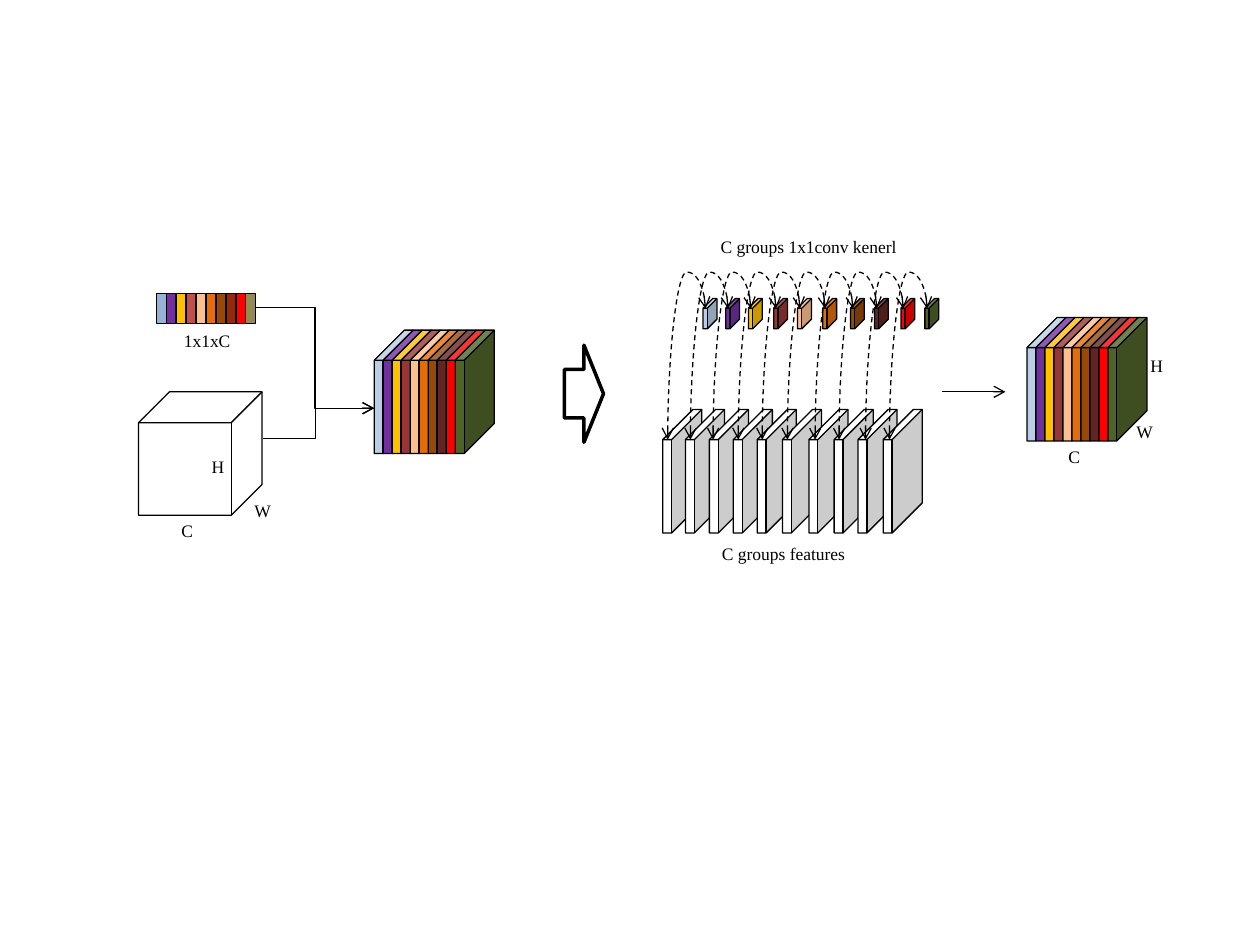
from lxml.etree import SubElement
from pptx import Presentation
from pptx.dml.color import RGBColor
from pptx.enum.dml import MSO_LINE
from pptx.enum.shapes import MSO_CONNECTOR as Connector, MSO_SHAPE as Shape
from pptx.enum.text import MSO_AUTO_SIZE as AutoSize
from pptx.oxml.ns import qn
from pptx.util import Inches, Pt

BLACK = RGBColor(0, 0, 0)
WHITE = RGBColor(255, 255, 255)
FONT = "Times New Roman"

WEIGHT_COLOURS = [RGBColor.from_string(c) for c in (
    "95B3D7", "7030A0", "FFC000", "C0504D", "FAC090",
    "E46C0A", "984807", "96280A", "FF0000", "948A54")]
CHANNEL_COLOURS = [RGBColor.from_string(c) for c in (
    "B9CDE5", "7030A0", "FFC000", "953735", "FAC090",
    "E46C0A", "984807", "632523", "FF0000", "4F6228")]

FEATURE_LEFTS = [5.26, 5.44, 5.63, 5.82, 6.01, 6.21, 6.42, 6.62, 6.81, 7.01]
KERNEL_LEFTS = [5.58, 5.76, 5.94, 6.14, 6.33, 6.53, 6.75, 6.94, 7.15, 7.34]
STACKS = [(2.97, 2.62), (8.15, 2.52)]
LABELS = [
    ("1x1xC", 1.46, 2.62, 0.37),
    ("H", 1.68, 3.62, 0.1),
    ("C", 1.44, 4.13, 0.09),
    ("W", 2.02, 3.97, 0.13),
    ("C groups features", 5.73, 4.31, 0.99),
    ("C groups 1x1conv kenerl", 5.72, 1.87, 1.42),
    ("H", 9.13, 2.82, 0.1),
    ("W", 9.02, 3.34, 0.13),
    ("C", 8.48, 3.54, 0.09),
]
MERGES = [((2.03, 2.44), 0.5), ((2.09, 3.48), 0.47)]
MERGE_END = (2.97, 3.24)

WEIGHT_WIDTH = 0.079
CHANNEL_STEP = 0.0715
SLAB = {"width": 0.31, "height": 0.98, "depth": 0.772}
KERNEL = {"width": 0.11, "height": 0.24, "depth": 0.692}
ARC_WIDTH, ARC_TOP, ARC_BOTTOM = 0.3, 2.45, 3.49


def add_outlined(shapes, kind, left, top, width, height, fill=None, depth=None, weight=0.75):
    shape = shapes.add_shape(kind, Inches(left), Inches(top), Inches(width), Inches(height))
    shape.shadow.inherit = False
    if fill is None:
        shape.fill.background()
    else:
        shape.fill.solid()
        shape.fill.fore_color.rgb = fill
    if depth is not None:
        shape.adjustments[0] = depth
    shape.line.color.rgb = BLACK
    shape.line.width = Pt(weight)
    return shape


def add_text(shapes, text, left, top, width, height=0.17, size=10, color=BLACK):
    box = shapes.add_textbox(Inches(left), Inches(top), Inches(width), Inches(height))
    frame = box.text_frame
    frame.margin_left = frame.margin_top = frame.margin_right = frame.margin_bottom = 0
    frame.word_wrap = False
    frame.auto_size = AutoSize.SHAPE_TO_FIT_TEXT
    run = frame.paragraphs[0].add_run()
    run.text = text
    run.font.name = FONT
    run.font.size = Pt(size)
    run.font.color.rgb = color


def add_arrow(shapes, kind, start, end, bend=None, ends=("tailEnd",), dashed=False):
    arrow = shapes.add_connector(kind, *(Inches(v) for v in (*start, *end)))
    arrow.line.color.rgb = BLACK
    arrow.line.width = Pt(0.75)
    if dashed:
        arrow.line.dash_style = MSO_LINE.DASH
    properties = arrow.element.spPr
    outline = properties.find(qn("a:ln"))
    for end_name in ends:
        SubElement(outline, qn(f"a:{end_name}"), type="arrow")
    SubElement(properties, qn("a:effectLst"))
    if bend is not None:
        guides = properties.find(qn("a:prstGeom")).get_or_add_avLst()
        SubElement(guides, qn("a:gd"), name="adj1", fmla=f"val {round(bend * 100000)}")
    return arrow


def add_arc(shapes, start_x):
    length = ARC_BOTTOM - ARC_TOP
    middle_x, middle_y = start_x - ARC_WIDTH / 2, (ARC_TOP + ARC_BOTTOM) / 2
    arc = add_arrow(
        shapes, Connector.CURVE,
        (middle_x + length / 2, middle_y + ARC_WIDTH / 2),
        (middle_x - length / 2, middle_y - ARC_WIDTH / 2),
        bend=-0.28, ends=("headEnd", "tailEnd"), dashed=True)
    arc.element.spPr.find(qn("a:xfrm")).set("rot", str(270 * 60000))


def add_stack(shapes, left, top):
    stack = shapes.add_group_shape()
    for i, colour in enumerate(CHANNEL_COLOURS):
        add_outlined(stack.shapes, Shape.CUBE, left + i * CHANNEL_STEP, top, fill=colour, **SLAB)


def main():
    deck = Presentation()
    deck.slide_width, deck.slide_height = Inches(10), Inches(7.5)
    shapes = deck.slides.add_slide(deck.slide_layouts[6]).shapes

    for i, colour in enumerate(WEIGHT_COLOURS):
        add_outlined(shapes, Shape.RECTANGLE, 1.24 + i * WEIGHT_WIDTH, 2.33,
                     WEIGHT_WIDTH, 0.24, fill=colour)
    add_outlined(shapes, Shape.CUBE, 1.1, 3.11, 0.98, 0.98)
    for left, top in STACKS:
        add_stack(shapes, left, top)
    for start, bend in MERGES:
        add_arrow(shapes, Connector.ELBOW, start, MERGE_END, bend=bend)

    for left in FEATURE_LEFTS:
        add_outlined(shapes, Shape.CUBE, left, 3.25, fill=WHITE, **SLAB)
    for left, colour in zip(KERNEL_LEFTS, CHANNEL_COLOURS):
        add_outlined(shapes, Shape.CUBE, left, 2.37, fill=colour, **KERNEL)
    for left in KERNEL_LEFTS:
        add_arc(shapes, left + 0.02)

    for label in LABELS:
        add_text(shapes, *label)
    add_arrow(shapes, Connector.STRAIGHT, (7.48, 3.11), (7.98, 3.11))
    add_outlined(shapes, Shape.RIGHT_ARROW, 4.48, 2.74, 0.31, 0.77, weight=2)

    deck.save("out.pptx")


if __name__ == "__main__":
    main()
